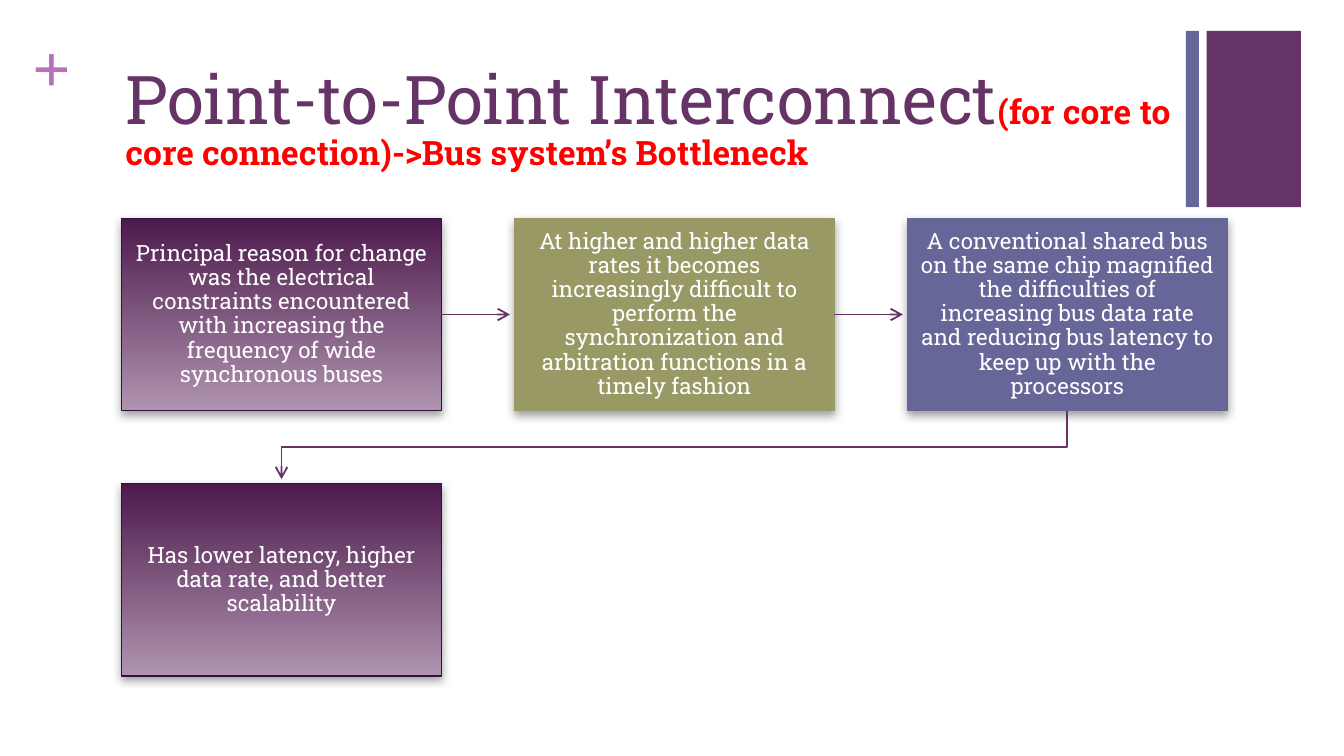
from dataclasses import dataclass
from lxml import etree
from pptx import Presentation
from pptx.dml.color import RGBColor as RGB
from pptx.enum.shapes import MSO_CONNECTOR as CONN, MSO_SHAPE as SHAPE
from pptx.enum.text import MSO_ANCHOR as ANCHOR, MSO_AUTO_SIZE as AUTO, PP_ALIGN as ALIGN
from pptx.oxml.ns import qn
from pptx.util import Pt


@dataclass(frozen=True)
class Theme:
    font: str = "Roboto Slab"
    plus_font: str = "Times New Roman"
    purple: str = "663366"
    blue: str = "666699"
    olive: str = "999966"
    plus: str = "B870B8"
    red: str = "FF0000"
    white: str = "FFFFFF"
    dark: str = "4D1A4D"
    light: str = "AF94AF"
    edge: str = "330F42"
    shadow: str = "808080"
    title_size: int = 36
    subtitle_size: int = 18
    body_size: int = 12


T = Theme()


def add_text(p, text, size=T.body_size, color=T.white, bold=False, font=T.font):
    r = p.add_run()
    r.text = text
    r.font.size, r.font.bold, r.font.name = Pt(size), bold, font
    r.font.color.rgb = RGB.from_string(color)


def style_arrow(s):
    """Thin purple line with an open arrowhead and no shadow."""
    s.line.color.rgb = RGB.from_string(T.purple)
    s.line.width = Pt(1)
    etree.SubElement(s.line._get_or_add_ln(), qn("a:tailEnd"), type="arrow")
    etree.SubElement(s._element.spPr, qn("a:effectLst"))


prs = Presentation()
prs.slide_width, prs.slide_height = Pt(720), Pt(405)
slide = prs.slides.add_slide(prs.slide_layouts[5])
shapes = slide.shapes

# Corner bars
for x, w, color in ((646.5, 50.5, T.purple), (635.3, 7, T.blue)):
    s = shapes.add_shape(SHAPE.RECTANGLE, Pt(x), Pt(16.6), Pt(w), Pt(94.4))
    s.shadow.inherit = False
    s.fill.solid()
    s.fill.fore_color.rgb = RGB.from_string(color)
    s.line.fill.background()

# Plus sign
tf = shapes.add_textbox(Pt(17.3), Pt(13.7), Pt(21), Pt(44)).text_frame
tf.margin_left = tf.margin_top = tf.margin_right = tf.margin_bottom = 0
add_text(tf.paragraphs[0], "+", size=T.title_size, color=T.plus, bold=True, font=T.plus_font)

# Title
s = shapes.title
s.left, s.top, s.width, s.height = Pt(60), Pt(27.4), Pt(594.7), Pt(66.2)
tf = s.text_frame
tf.auto_size, tf.word_wrap, tf.vertical_anchor = AUTO.NONE, True, ANCHOR.TOP
tf.margin_top, tf.margin_bottom = Pt(10), 0
p = tf.paragraphs[0]
p.alignment, p.line_spacing = ALIGN.LEFT, 0.85
add_text(p, "Point-to-Point Interconnect", size=T.title_size, color=T.purple)
add_text(p, "(for core to core connection)->Bus system’s Bottleneck",
         size=T.subtitle_size, color=T.red, bold=True)

# Flow grid
LEFT, TOP, BOX_W, BOX_H = 65.2, 117, 171.3, 103
STEP_X, STEP_Y, TIP_GAP = 210.5, 142.2, 2.5
COLS = 3

# Boxes; a fill of None means the purple gradient
steps = [
    ("Principal reason for change was the electrical constraints encountered "
     "with increasing the frequency of wide synchronous buses", None),
    ("At higher and higher data rates it becomes increasingly difficult to perform "
     "the synchronization and arbitration functions in a timely fashion", T.olive),
    ("A conventional shared bus on the same chip magnified the difficulties of increasing "
     "bus data rate and reducing bus latency to keep up with the processors", T.blue),
    ("Has lower latency, higher data rate, and better scalability", None),
]
for i, (text, color) in enumerate(steps):
    row, col = divmod(i, COLS)
    s = shapes.add_shape(SHAPE.RECTANGLE, Pt(LEFT + col * STEP_X), Pt(TOP + row * STEP_Y),
                         Pt(BOX_W), Pt(BOX_H))
    if color:
        s.fill.solid()
        s.fill.fore_color.rgb = RGB.from_string(color)
    else:
        s.fill.gradient()
        s.fill.gradient_angle = 270
        for stop, shade in zip(s.fill.gradient_stops, (T.dark, T.light)):
            stop.color.rgb = RGB.from_string(shade)
    s.line.color.rgb = RGB.from_string(color or T.edge)
    s.line.width = Pt(0.75)

    # Soft shadow below the box
    effects = etree.SubElement(s._element.spPr, qn("a:effectLst"))
    shadow = etree.SubElement(effects, qn("a:outerShdw"), blurRad=str(Pt(5)), dist=str(Pt(2)),
                              dir="5400000", rotWithShape="0")
    tint = etree.SubElement(shadow, qn("a:srgbClr"), val=T.shadow)
    etree.SubElement(tint, qn("a:alpha"), val="75000")

    tf = s.text_frame
    tf.word_wrap, tf.vertical_anchor = True, ANCHOR.MIDDLE
    tf.margin_left = tf.margin_top = tf.margin_right = tf.margin_bottom = Pt(6.7)
    p = tf.paragraphs[0]
    p.alignment, p.line_spacing = ALIGN.CENTER, 0.9
    add_text(p, text)

# Arrows along the first row
y = TOP + BOX_H / 2
for col in range(COLS - 1):
    x = LEFT + col * STEP_X
    s = shapes.add_connector(CONN.STRAIGHT, Pt(x + BOX_W), Pt(y), Pt(x + STEP_X - TIP_GAP), Pt(y))
    style_arrow(s)

# Elbow arrow from the last column back to the second row
x_end = LEFT + BOX_W / 2
x_start = x_end + (COLS - 1) * STEP_X
y_start, y_end = TOP + BOX_H, TOP + STEP_Y - TIP_GAP
y_mid = (TOP + BOX_H + TOP + STEP_Y) / 2
fb = shapes.build_freeform(Pt(x_start), Pt(y_start))
fb.add_line_segments([(Pt(x_start), Pt(y_mid)), (Pt(x_end), Pt(y_mid)), (Pt(x_end), Pt(y_end))],
                     close=False)
s = fb.convert_to_shape()
s.fill.background()
style_arrow(s)

prs.save("out.pptx")
